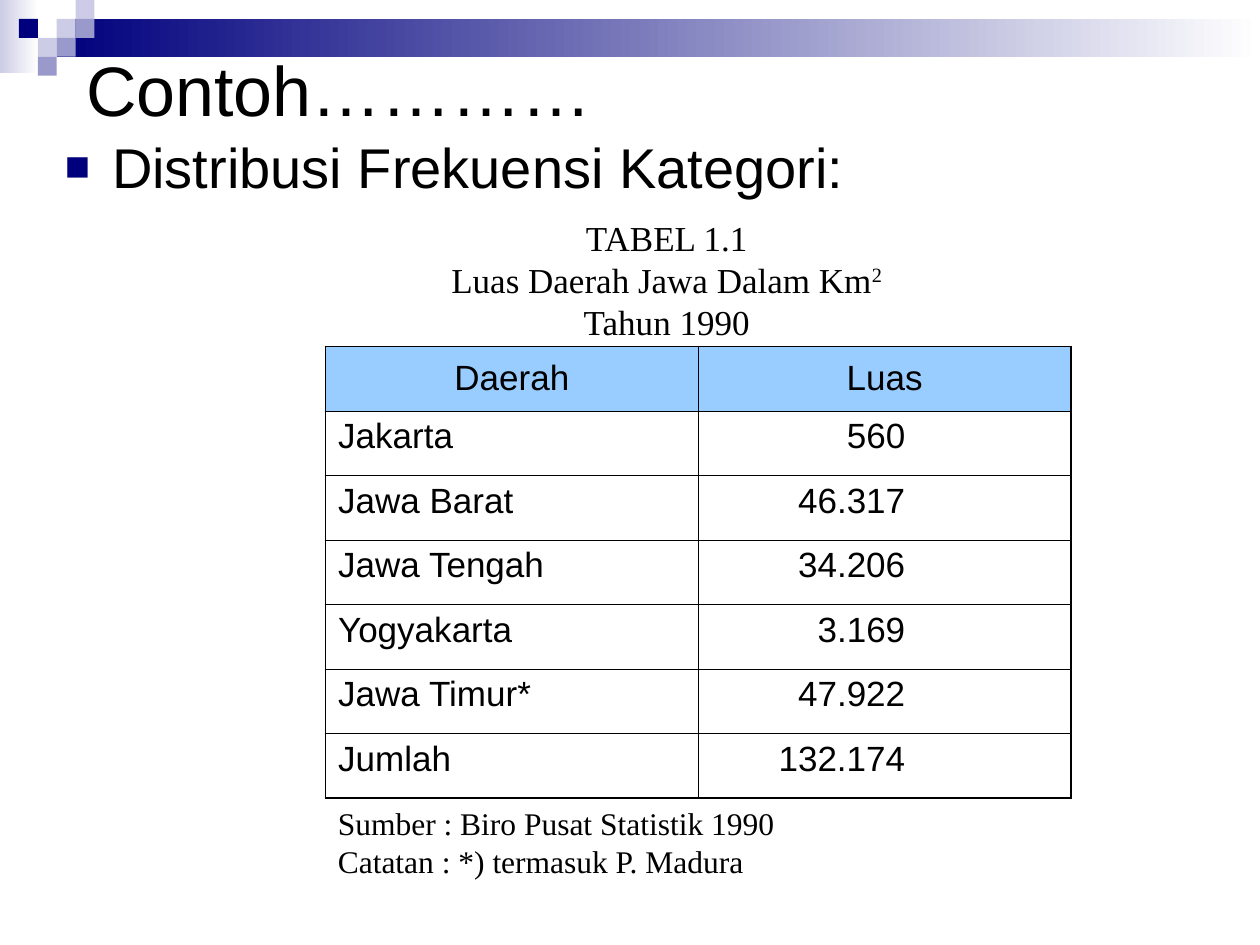
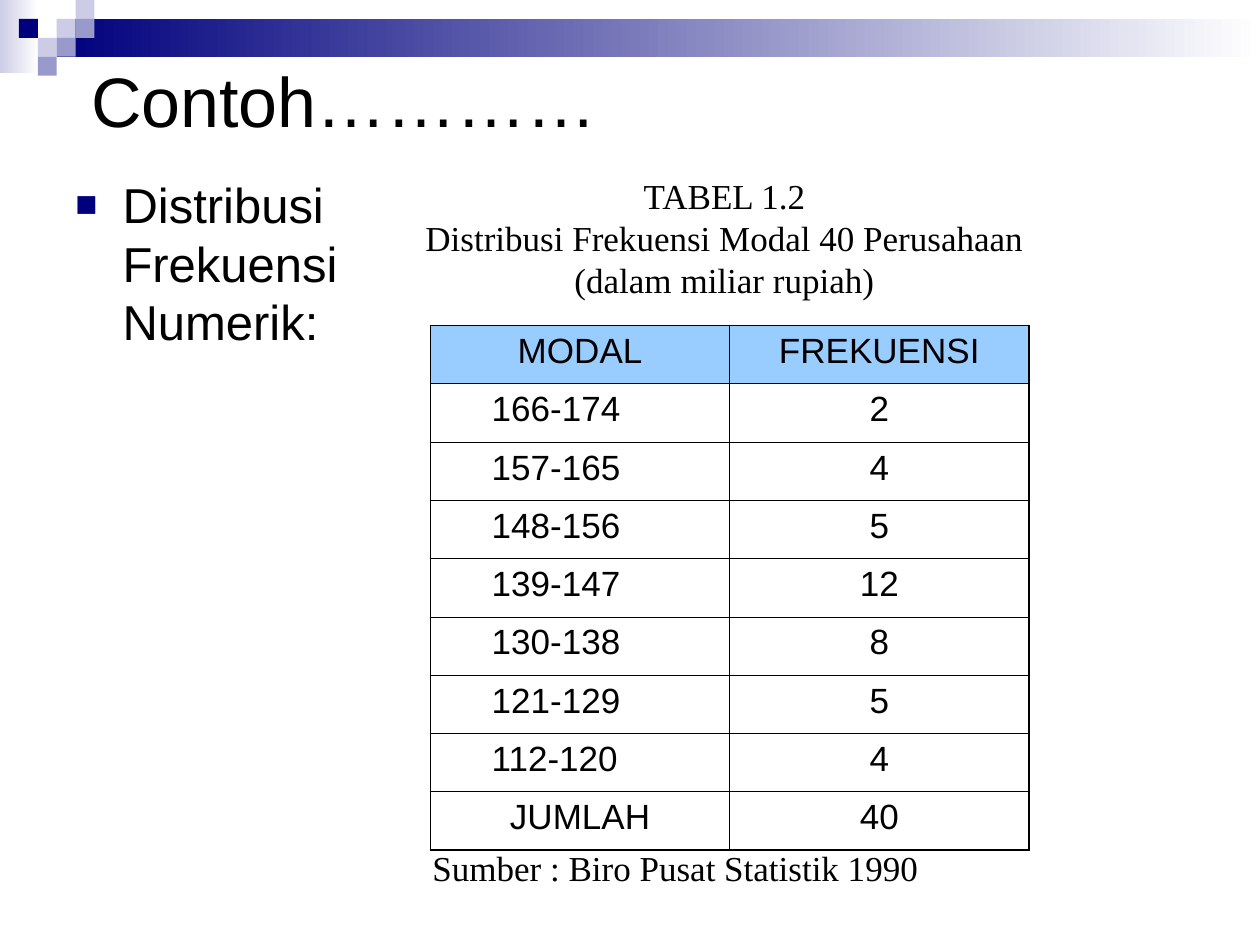
from dataclasses import dataclass

from lxml import etree
from pptx import Presentation
from pptx import util as u
from pptx.dml.color import RGBColor
from pptx.enum import shapes, text
from pptx.oxml import ns

Pt = u.Pt
LEFT, CENTER, RIGHT = text.PP_ALIGN.LEFT, text.PP_ALIGN.CENTER, text.PP_ALIGN.RIGHT
TOP, MIDDLE = text.MSO_ANCHOR.TOP, text.MSO_ANCHOR.MIDDLE


@dataclass(frozen=True)
class Theme:
    ink: str = "000000"
    paper: str = "FFFFFF"
    navy: str = "00007D"
    violet: str = "9999CC"
    lilac: str = "CCCCE6"
    header: str = "99CCFF"
    sans: str = "Arial"
    serif: str = "Times New Roman"
    title_size: float = 40
    table_size: float = 20
    caption_size: float = 20
    outer_line: float = 1.08
    inner_line: float = 0.45


def color(value):
    return RGBColor.from_string(value)


def sub(parent, tag, **attributes):
    return etree.SubElement(parent, ns.qn(tag), attributes)


class Builder:
    """Holds the theme, the deck and the current page."""

    def __init__(self, theme):
        self.theme = theme
        self.deck = Presentation()
        self.deck.slide_width, self.deck.slide_height = Pt(720), Pt(540)
        self.layout = self.deck.slide_layouts[5]
        self.page = None

    def new_page(self):
        self.page = self.deck.slides.add_slide(self.layout)

    def style(self, para, font, size, align=LEFT, before=0):
        para.alignment = align
        para.space_before = Pt(before)
        para.font.name, para.font.size = font, Pt(size)
        para.font.color.rgb = color(self.theme.ink)

    def rectangle(self, at, *colors):
        """One colour gives a plain fill, two a left-to-right gradient."""
        box = self.page.shapes.add_shape(shapes.MSO_SHAPE.RECTANGLE, *map(Pt, at))
        box.shadow.inherit = False
        box.line.fill.background()
        if len(colors) == 1:
            box.fill.solid()
            box.fill.fore_color.rgb = color(colors[0])
        else:
            box.fill.gradient()
            box.fill.gradient_angle = 0
            for stop, value in zip(box.fill.gradient_stops, colors):
                stop.color.rgb = color(value)
        return box

    def shared_band(self):
        """Draw the top band on the page, then move it to the layout."""
        theme, unit = self.theme, 10.8
        parts = [
            self.rectangle((0, 0, 22, 42), theme.lilac, theme.paper),
            self.rectangle((32.4, unit, 687.6, 21.6), theme.navy, theme.paper),
        ]
        squares = [
            (3, 1, theme.lilac), (4, 0, theme.lilac), (4, 1, theme.violet),
            (2, 2, theme.lilac), (1, 1, theme.navy), (3, 2, theme.violet),
            (2, 3, theme.violet),
        ]
        for column, row, fill in squares:
            at = (column * unit, row * unit, unit, unit)
            parts.append(self.rectangle(at, fill))
        tree = self.layout.placeholders[0].element.getparent()
        for offset, part in enumerate(parts):
            tree.insert(2 + offset, part.element)

    def title(self, words, at, align=LEFT):
        box = self.page.shapes.title
        box.left, box.top, box.width, box.height = map(Pt, at)
        frame = box.text_frame
        frame.text = words
        frame.word_wrap = True
        frame.auto_size = text.MSO_AUTO_SIZE.NONE
        frame.vertical_anchor = MIDDLE
        self.style(frame.paragraphs[0], self.theme.sans, self.theme.title_size, align)

    def text_box(self, lines, at, font, size, align=LEFT, before=0):
        box = self.page.shapes.add_textbox(*map(Pt, at))
        frame = box.text_frame
        frame.word_wrap = True
        frame.text = "\n".join(lines)
        for para in frame.paragraphs:
            self.style(para, font, size, align, before)
        return frame

    def bullet(self, words, at, size, before):
        frame = self.text_box([words], at, self.theme.sans, size, before=before)
        props = frame.paragraphs[0]._p.get_or_add_pPr()
        props.set("marL", str(Pt(27)))
        props.set("indent", str(-Pt(27)))
        marks = etree.Element("marks")
        sub(sub(marks, "a:buClr"), "a:srgbClr", val=self.theme.navy)
        sub(marks, "a:buSzPct", val="75000")
        sub(marks, "a:buFont", typeface=self.theme.sans)
        sub(marks, "a:buChar", char="■")
        default_run = props.find(ns.qn("a:defRPr"))
        for mark in list(marks):
            default_run.addprevious(mark)

    def caption(self, lines, at):
        return self.text_box(lines, at, self.theme.serif, self.theme.caption_size, CENTER)

    def borders(self, cell, outer_sides):
        props = cell._tc.get_or_add_tcPr()
        for side in "LRTB":
            width = self.theme.outer_line if side in outer_sides else self.theme.inner_line
            line = sub(props, f"a:ln{side}", w=str(Pt(width)))
            sub(sub(line, "a:solidFill"), "a:srgbClr", val=self.theme.ink)

    def table(self, rows, at, cell_format, header_anchor=TOP):
        """cell_format(row, column) gives alignment, left and right margin."""
        last_row, last_column = len(rows) - 1, len(rows[0]) - 1
        grid = self.page.shapes.add_table(len(rows), len(rows[0]), *map(Pt, at)).table
        grid.first_row = grid.horz_banding = False
        for r, row in enumerate(rows):
            grid.rows[r].height = Pt(at[3] / len(rows))
            for c, words in enumerate(row):
                cell = grid.cell(r, c)
                cell.text = words
                align, left, right = cell_format(r, c)
                cell.margin_left, cell.margin_right = Pt(left), Pt(right)
                cell.vertical_anchor = TOP if r else header_anchor
                edges = {"L": c == 0, "R": c == last_column, "T": r == 0, "B": r == last_row}
                self.borders(cell, [side for side, outer in edges.items() if outer])
                cell.fill.solid()
                cell.fill.fore_color.rgb = color(self.theme.paper if r else self.theme.header)
                self.style(cell.text_frame.paragraphs[0], self.theme.sans,
                           self.theme.table_size, align, before=5)


def area_format(row, column):
    if row == 0:
        return CENTER, 7.2, 7.2
    return (RIGHT, 7.2, 94.7) if column else (LEFT, 7.2, 7.2)


def capital_format(row, column):
    if column == 0 and 0 < row <= 7:
        return LEFT, 35, 7.2
    return CENTER, 7.2, 7.2


def category_page(builder):
    builder.title("Contoh…………", (42, 24, 306, 53))
    builder.bullet("Distribusi Frekuensi Kategori:", (30, 72, 468, 48), 32, before=8)
    rows = [
        ("Daerah", "Luas"), ("Jakarta", "560"), ("Jawa Barat", "46.317"),
        ("Jawa Tengah", "34.206"), ("Yogyakarta", "3.169"),
        ("Jawa Timur*", "47.922"), ("Jumlah", "132.174"),
    ]
    builder.table(rows, (186, 198, 426, 258), area_format, MIDDLE)
    frame = builder.caption(
        ["TABEL 1.1", "Luas Daerah Jawa Dalam Km", "Tahun 1990"], (246, 120, 270, 79))
    span = frame.paragraphs[1].add_run()
    span.text = "2"
    span._r.get_or_add_rPr().set("baseline", "30000")
    builder.text_box(
        ["Sumber : Biro Pusat Statistik 1990", "Catatan : *) termasuk P. Madura"],
        (186, 456, 282, 50), builder.theme.serif, 18)


def numeric_page(builder):
    builder.title("Contoh…………", (36, 36, 312, 42), RIGHT)
    builder.bullet("Distribusi Frekuensi Numerik:", (36, 96, 186, 114), 28, before=7)
    rows = [
        ("MODAL", "FREKUENSI"), ("166-174", "2"), ("157-165", "4"),
        ("148-156", "5"), ("139-147", "12"), ("130-138", "8"),
        ("121-129", "5"), ("112-120", "4"), ("JUMLAH", "40"),
    ]
    builder.table(rows, (246, 186, 342, 300), capital_format)
    builder.caption(
        ["TABEL 1.2", "Distribusi Frekuensi Modal 40 Perusahaan (dalam miliar rupiah)"],
        (216, 96, 396, 79))
    builder.text_box(["Sumber : Biro Pusat Statistik 1990"], (240, 480, 318, 32),
                     builder.theme.serif, builder.theme.caption_size, before=12.5)


def main():
    builder = Builder(Theme())
    builder.new_page()
    builder.shared_band()
    category_page(builder)
    builder.new_page()
    numeric_page(builder)
    builder.deck.save("out.pptx")


if __name__ == "__main__":
    main()
